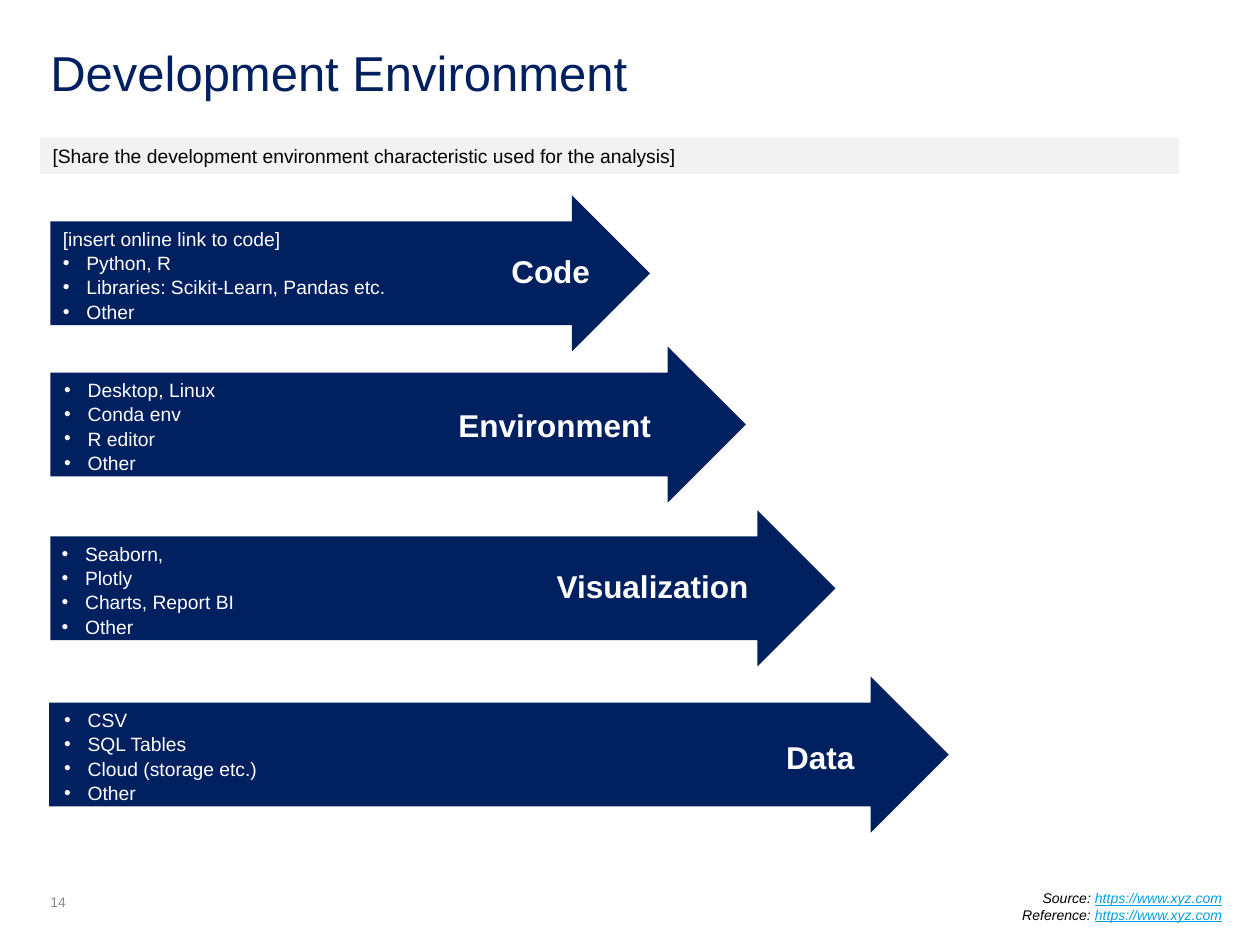
from dataclasses import dataclass

from lxml import etree
from pptx import Presentation
from pptx.dml.color import RGBColor
from pptx.enum import shapes, text
from pptx.oxml.ns import qn
from pptx.util import Pt

COLORS = {
    "navy": "002060",
    "band": "F2F2F2",
    "white": "FFFFFF",
    "black": "000000",
    "gray": "8C8C8C",
    "link": "00A1DE",
}
FONT = "Arial"
ARROW_HEIGHT = 89.3
BODY_OFFSET = 14
BULLET_INDENT = 13.5
LINE_SPACING = 1.05


@dataclass
class Box:
    left: float
    top: float
    width: float
    height: float

    def points(self) -> tuple:
        return tuple(Pt(v) for v in (self.left, self.top, self.width, self.height))


@dataclass
class Stage:
    name: str
    arrow_left: float
    arrow_top: float
    arrow_width: float
    body_left: float
    body_width: float
    label: Box
    bullets: list[str]
    intro: str = ""


STAGES = [
    Stage("Code", 28.8, 111.6, 342.7, 28.8, 299, Box(285.1, 139.7, 59.8, 28.8),
          ["Python, R", "Libraries: Scikit-Learn, Pandas etc.", "Other"],
          "[insert online link to code]"),
    Stage("Environment", 28.8, 198, 397.4, 29.5, 353.5, Box(254.9, 227.5, 125.3, 28.8),
          ["Desktop, Linux", "Conda env", "R editor", "Other"]),
    Stage("Visualization", 28.8, 291.6, 448.6, 28.1, 424.8, Box(311, 319.7, 125.3, 28.8),
          ["Seaborn,", "Plotly", "Charts, Report BI", "Other"]),
    Stage("Data", 28.1, 386.6, 514.1, 29.5, 504.7, Box(442.1, 416.9, 54, 28.8),
          ["CSV", "SQL Tables", "Cloud (storage etc.)", "Other"]),
]


def color(name: str) -> RGBColor:
    return RGBColor.from_string(COLORS[name])


def style(font, size: float, color_name: str, bold=False, italic=False) -> None:
    font.name = FONT
    font.size = Pt(size)
    font.bold = bold
    font.italic = italic
    font.color.rgb = color(color_name)


def add_bullet(paragraph) -> None:
    properties = paragraph._p.get_or_add_pPr()
    properties.set("marL", str(Pt(BULLET_INDENT)))
    properties.set("indent", str(-Pt(BULLET_INDENT)))
    etree.SubElement(properties, qn("a:buFont")).set("typeface", FONT)
    etree.SubElement(properties, qn("a:buChar")).set("char", "•")


def add_shape(slide, kind, box: Box, fill: str):
    shape = slide.shapes.add_shape(kind, *box.points())
    shape.shadow.inherit = False
    shape.fill.solid()
    shape.fill.fore_color.rgb = color(fill)
    shape.line.fill.background()
    return shape


def add_text_frame(slide, box: Box, wrap=True):
    frame = slide.shapes.add_textbox(*box.points()).text_frame
    frame.word_wrap = wrap
    return frame


def remove_margins(frame) -> None:
    frame.margin_left = frame.margin_right = frame.margin_top = frame.margin_bottom = 0


def add_title(slide, title: str) -> None:
    placeholder = slide.shapes.title
    box = Box(28.8, 23, 662.4, 36.7)
    placeholder.left, placeholder.top, placeholder.width, placeholder.height = box.points()
    frame = placeholder.text_frame
    remove_margins(frame)
    frame.vertical_anchor = text.MSO_ANCHOR.MIDDLE
    frame.text = title
    paragraph = frame.paragraphs[0]
    paragraph.alignment = text.PP_ALIGN.LEFT
    style(paragraph.font, 28, "navy")


def add_subtitle(slide, subtitle: str) -> None:
    band = add_shape(slide, shapes.MSO_SHAPE.RECTANGLE, Box(23, 78.5, 650.9, 20.9), "band")
    band.text_frame.word_wrap = True
    band.text_frame.text = subtitle
    paragraph = band.text_frame.paragraphs[0]
    paragraph.alignment = text.PP_ALIGN.LEFT
    style(paragraph.font, 11, "black")


def add_stage(slide, stage: Stage) -> None:
    # Arrow
    arrow_box = Box(stage.arrow_left, stage.arrow_top, stage.arrow_width, ARROW_HEIGHT)
    arrow = add_shape(slide, shapes.MSO_SHAPE.RIGHT_ARROW, arrow_box, "navy")
    arrow.adjustments[0] = 0.664
    arrow.adjustments[1] = 0.5

    # Details
    body_box = Box(stage.body_left, stage.arrow_top + BODY_OFFSET, stage.body_width, 60.5)
    frame = add_text_frame(slide, body_box)
    lines = ([stage.intro] if stage.intro else []) + stage.bullets
    frame.text = "\n".join(lines)
    for paragraph, line in zip(frame.paragraphs, lines):
        paragraph.line_spacing = LINE_SPACING
        if line != stage.intro:
            add_bullet(paragraph)
        style(paragraph.font, 11, "white")

    # Label
    frame = add_text_frame(slide, stage.label, wrap=False)
    frame.text = stage.name
    paragraph = frame.paragraphs[0]
    paragraph.line_spacing = LINE_SPACING
    style(paragraph.font, 18, "white", bold=True)


def add_sources(slide, sources: list[tuple[str, str]]) -> None:
    frame = add_text_frame(slide, Box(414.7, 504.7, 290.9, 36))
    for index, (caption, address) in enumerate(sources):
        paragraph = frame.add_paragraph() if index else frame.paragraphs[0]
        paragraph.alignment = text.PP_ALIGN.RIGHT
        for content, color_name in ((caption, "black"), (address, "link")):
            run = paragraph.add_run()
            run.text = content
            style(run.font, 8, color_name, italic=True)
            run.font.underline = color_name == "link"


def add_page_number(slide, number: str) -> None:
    frame = add_text_frame(slide, Box(28.8, 510.5, 36, 9.4))
    remove_margins(frame)
    frame.vertical_anchor = text.MSO_ANCHOR.BOTTOM
    frame.text = number
    style(frame.paragraphs[0].font, 8, "gray")


def main() -> None:
    presentation = Presentation()
    presentation.slide_width = Pt(720)
    presentation.slide_height = Pt(540)
    slide = presentation.slides.add_slide(presentation.slide_layouts[5])

    # Heading
    add_title(slide, "Development Environment")
    add_subtitle(slide, "[Share the development environment characteristic used for the analysis]")

    # Arrows
    for stage in STAGES:
        add_stage(slide, stage)

    # Footer
    add_page_number(slide, "14")
    add_sources(slide, [("Source: ", "https://www.xyz.com"),
                        ("Reference: ", "https://www.xyz.com")])
    presentation.save("out.pptx")


if __name__ == "__main__":
    main()
